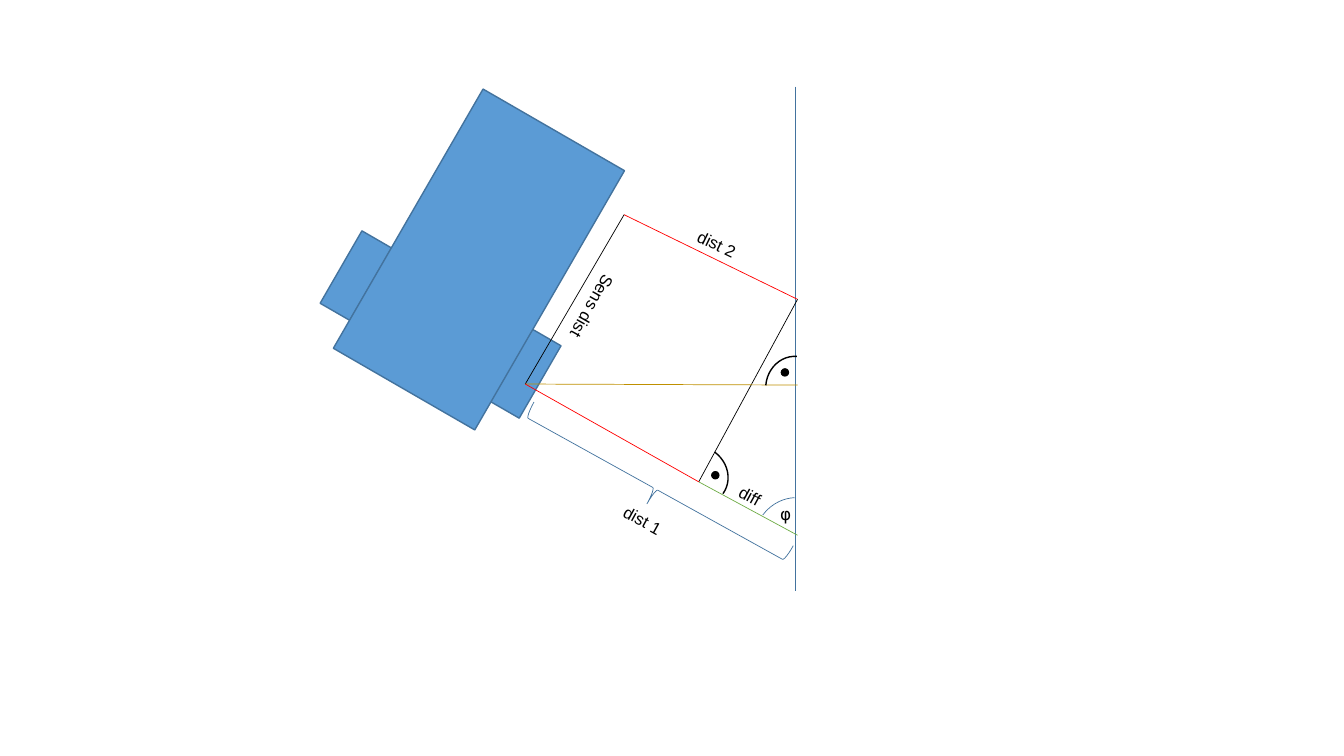
import pptx
import pptx.util
import pptx.dml.color
import pptx.enum.shapes
import pptx.enum.text
import pptx.oxml
import pptx.oxml.ns
from dataclasses import dataclass

Inches, Pt = pptx.util.Inches, pptx.util.Pt
SHAPE = pptx.enum.shapes.MSO_SHAPE


@dataclass
class Theme:
    blue: str = "5B9BD5"
    edge: str = "43739E"
    red: str = "FF0000"
    green: str = "70AD47"
    gold: str = "BF9000"
    black: str = "000000"
    font: str = "Arial"
    greek: str = "DejaVu Sans"
    size: float = 12
    thin: float = 0.5
    thick: float = 1


theme = Theme()


def rgb(color):
    return pptx.dml.color.RGBColor.from_string(color)


def add_line(slide, box, start, end, color, width=theme.thin):
    left, top = box
    line = slide.shapes.add_connector(
        pptx.enum.shapes.MSO_CONNECTOR.STRAIGHT,
        Inches(left + start[0]), Inches(top + start[1]),
        Inches(left + end[0]), Inches(top + end[1]))
    line.line.color.rgb = rgb(color)
    line.line.width = Pt(width)
    # An empty effect list keeps the line free of shadow
    line._element.spPr.append(pptx.oxml.parse_xml(
        "<a:effectLst %s/>" % pptx.oxml.ns.nsdecls("a")))


def add_form(slide, box, kind, place, turn=0, fill=None,
             edge=theme.edge, width=theme.thick, adjust=()):
    x, y, w, h = place
    form = slide.shapes.add_shape(
        kind, Inches(box[0] + x), Inches(box[1] + y), Inches(w), Inches(h))
    form.rotation = turn
    form.shadow.inherit = False
    if fill:
        form.fill.solid()
        form.fill.fore_color.rgb = rgb(fill)
    else:
        form.fill.background()
    form.line.color.rgb = rgb(edge)
    form.line.width = Pt(width)
    for index, value in enumerate(adjust):
        form.adjustments[index] = value


def add_label(slide, box, text, place, turn=0, font=theme.font):
    x, y, w = place
    label = slide.shapes.add_textbox(
        Inches(box[0] + x), Inches(box[1] + y), Inches(w), Inches(0.3))
    label.rotation = turn
    frame = label.text_frame
    frame.word_wrap = True
    frame.auto_size = pptx.enum.text.MSO_AUTO_SIZE.SHAPE_TO_FIT_TEXT
    frame.text = text
    para = frame.paragraphs[0]
    para.alignment = pptx.enum.text.PP_ALIGN.CENTER
    run = para.runs[0]
    run.font.name = font
    run.font.size = Pt(theme.size)
    run.font.color.rgb = rgb(theme.black)


def draw_robot(slide, box):
    # Two wheels below the body, all tilted alike
    parts = [(1.86, 2.41, 0.34, 0.83), (0.18, 1.44, 0.34, 0.83),
             (0.76, 0.21, 1.62, 2.97)]
    for place in parts:
        add_form(slide, box, SHAPE.RECTANGLE, place, 30, theme.blue)


def draw_angles(slide, box):
    # Two right angles, each an arc with a dot
    for arc, turn, dot in [((1.4, 3.57), 36, (1.85, 3.82)),
                           ((2.36, 2.7), 274.6, (2.54, 2.8))]:
        add_form(slide, box, SHAPE.ARC, (*arc, 0.62, 0.57), turn,
                 edge=theme.black, adjust=(162, 0))
        add_form(slide, box, SHAPE.FLOWCHART_CONNECTOR, (*dot, 0.07, 0.07),
                 fill=theme.black, edge=theme.black)

    # Angle between the rear beam and the wall
    add_form(slide, box, SHAPE.ARC, (2.26, 4.09, 0.82, 0.78), 306.2,
             width=theme.thin, adjust=(162, 194.3))
    add_label(slide, box, "φ", (2.43, 4.09, 0.29), font=theme.greek)


def draw_beams(slide, box):
    # Wall, then the beams between sensors and wall
    rear, front = (0, 2.95), (0.98, 1.27)
    hit, foot, end = (2.7, 2.11), (1.72, 3.92), (2.7, 4.45)
    add_line(slide, box, (2.68, 0), (2.68, 5), theme.edge, theme.thick)
    for start, stop, color in [(foot, end, theme.green),
                               (front, hit, theme.red),
                               (front, rear, theme.black),
                               (hit, foot, theme.black),
                               (rear, (2.7, 2.96), theme.gold),
                               (rear, foot, theme.red)]:
        add_line(slide, box, start, stop, color)

    # Brace along the whole rear beam
    add_form(slide, box, SHAPE.LEFT_BRACE, (1.12, 2.52, 0.34, 2.94), 299,
             width=theme.thin, adjust=(0.083, 0.5))

    # Lengths
    for text, place, turn in [("Sens dist", (-0.11, 2.03, 1.55), 119.4),
                              ("dist 2", (1.48, 1.41, 0.84), 25.9),
                              ("dist 1", (0.39, 4.15, 1.55), 28.9),
                              ("diff", (1.95, 3.91, 0.56), 28.7)]:
        add_label(slide, box, text, place, turn)


def main():
    deck = pptx.Presentation()
    deck.slide_width, deck.slide_height = Inches(13.33), Inches(7.5)
    slide = deck.slides.add_slide(deck.slide_layouts[6])
    draw_robot(slide, (3.18, 0.88))
    field = (5.21, 0.86)
    draw_beams(slide, field)
    draw_angles(slide, field)
    deck.save("out.pptx")


if __name__ == "__main__":
    main()
